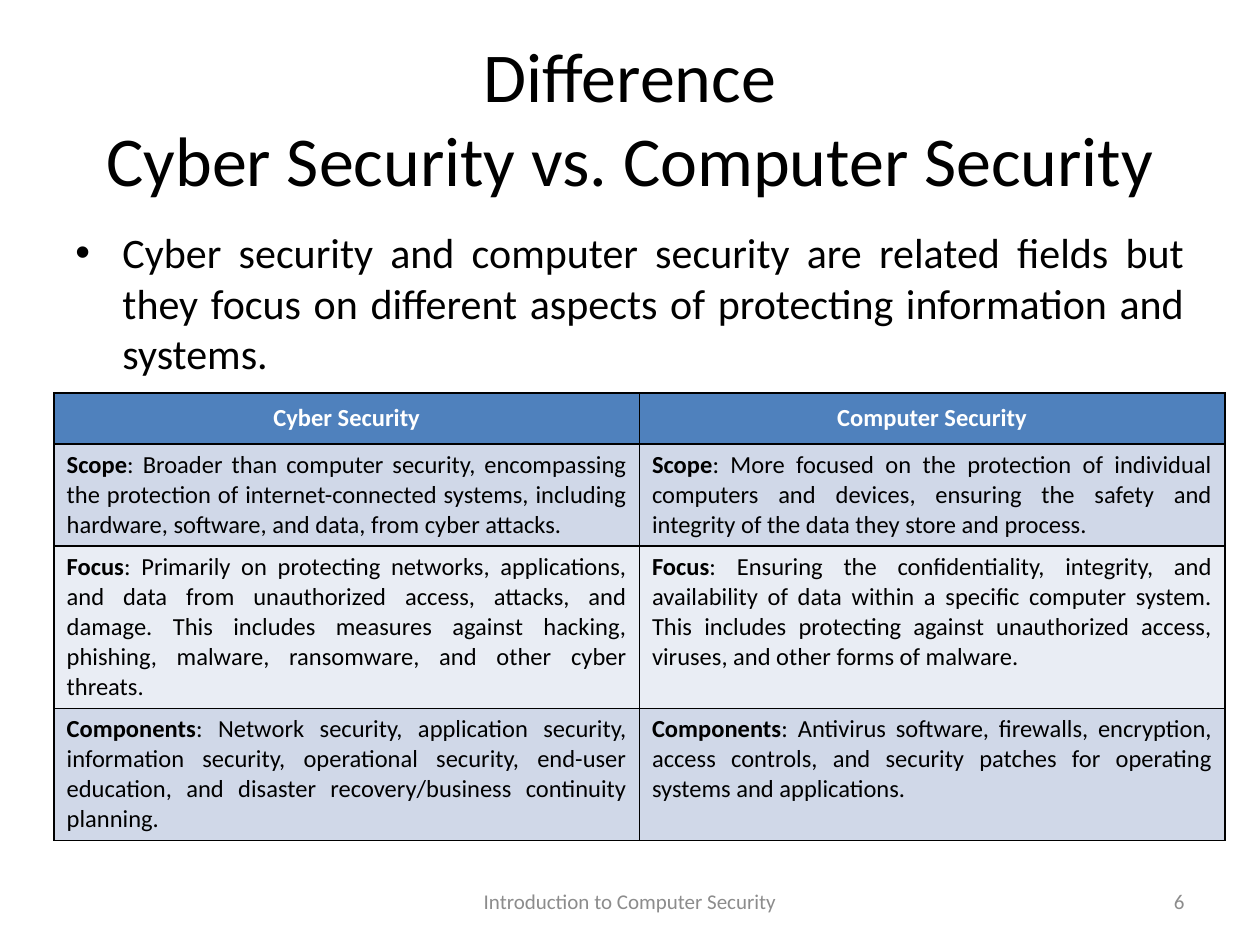
from lxml import etree
from pptx import Presentation
from pptx.dml.color import RGBColor
from pptx.enum import text as t
from pptx.oxml import ns
from pptx.util import Cm, Pt

TITLE = "Difference\vCyber Security vs. Computer Security"
INTRO = ("Cyber security and computer security are related fields but they focus on "
         "different aspects of protecting information and systems.")
FOOTER, PAGE_NUMBER = "Introduction to Computer Security", "6"
HEADINGS = ("Cyber Security", "Computer Security")
COMPARISON = [
    ("Scope",
     "Broader than computer security, encompassing the protection of internet-connected "
     "systems, including hardware, software, and data, from cyber attacks.",
     "More focused on the protection of individual computers and devices, ensuring the "
     "safety and integrity of the data they store and process."),
    ("Focus",
     "Primarily on protecting networks, applications, and data from unauthorized access, "
     "attacks, and damage. This includes measures against hacking, phishing, malware, "
     "ransomware, and other cyber threats.",
     "Ensuring the confidentiality, integrity, and availability of data within a specific "
     "computer system. This includes protecting against unauthorized access, viruses, and "
     "other forms of malware."),
    ("Components",
     "Network security, application security, information security, operational security, "
     "end-user education, and disaster recovery/business continuity planning.",
     "Antivirus software, firewalls, encryption, access controls, and security patches for "
     "operating systems and applications."),
]
ROW_HEIGHTS = (1.03, 2.06, 3.27, 2.66)
COLUMN_WIDTH = 11.8
BLACK, WHITE, GREY, HEADER_FILL = "000000", "FFFFFF", "8C8C8C", "4F81BD"
BAND_FILLS = ("D0D8E8", "E9EDF4")
ALIGN, ANCHOR = t.PP_ALIGN, t.MSO_ANCHOR


def rgb(value):
    return RGBColor.from_string(value)


def style(paragraph, size, color, align, bold=None):
    paragraph.alignment = align
    font = paragraph.font
    font.name, font.size, font.bold = "Calibri", Pt(size), bold
    font.color.rgb = rgb(color)


def add_text(slide, box, content, size, color, align, anchor):
    frame = slide.shapes.add_textbox(*map(Cm, box)).text_frame
    frame.word_wrap = True
    frame.vertical_anchor = anchor
    frame.text = content
    paragraph = frame.paragraphs[0]
    style(paragraph, size, color, align)
    return paragraph


def add_bullet(paragraph, indent):
    properties = paragraph._p.get_or_add_pPr()
    properties.set("marL", str(indent))
    properties.set("indent", str(-indent))
    bullet_font = etree.Element(ns.qn("a:buFont"), typeface="Arial")
    bullet = etree.Element(ns.qn("a:buChar"), char="•")
    properties.insert(0, bullet_font)
    properties.insert(1, bullet)


def format_cell(cell, fill):
    """Draw black borders on all four sides, then fill the cell."""
    properties = cell._tc.get_or_add_tcPr()
    for side in ("lnL", "lnR", "lnT", "lnB"):
        line = etree.SubElement(properties, ns.qn(f"a:{side}"), w=str(Pt(1)))
        solid = etree.SubElement(line, ns.qn("a:solidFill"))
        etree.SubElement(solid, ns.qn("a:srgbClr"), val=BLACK)
    cell.fill.solid()
    cell.fill.fore_color.rgb = rgb(fill)


def add_comparison(slide):
    table = slide.shapes.add_table(
        len(ROW_HEIGHTS), len(HEADINGS), Cm(1.09), Cm(7.92),
        Cm(COLUMN_WIDTH * len(HEADINGS)), Cm(sum(ROW_HEIGHTS))).table
    for row, height in zip(table.rows, ROW_HEIGHTS):
        row.height = Cm(height)
    for column, heading in enumerate(HEADINGS):
        table.columns[column].width = Cm(COLUMN_WIDTH)
        cell = table.cell(0, column)
        cell.text = heading
        cell.vertical_anchor = ANCHOR.MIDDLE
        style(cell.text_frame.paragraphs[0], 14, WHITE, ALIGN.CENTER, True)
        format_cell(cell, HEADER_FILL)
    for index, (aspect, *descriptions) in enumerate(COMPARISON):
        for column, description in enumerate(descriptions):
            cell = table.cell(index + 1, column)
            paragraph = cell.text_frame.paragraphs[0]
            for content, bold in ((aspect, True), (f": {description}", False)):
                run = paragraph.add_run()
                run.text = content
                run.font.bold = bold
            style(paragraph, 14, BLACK, ALIGN.JUSTIFY)
            format_cell(cell, BAND_FILLS[index % 2])


def main():
    deck = Presentation()
    deck.slide_width, deck.slide_height = Cm(25.4), Cm(19.05)
    slide = deck.slides.add_slide(deck.slide_layouts[5])

    title = slide.shapes.title
    title.left, title.top, title.width, title.height = map(Cm, (1.27, 0.76, 22.86, 3.18))
    title.text_frame.text = TITLE
    title.text_frame.vertical_anchor = ANCHOR.MIDDLE
    style(title.text_frame.paragraphs[0], 40, BLACK, ALIGN.CENTER)

    intro = add_text(slide, (1.27, 4.45, 22.86, 12.57), INTRO, 24, BLACK,
                     ALIGN.JUSTIFY, ANCHOR.TOP)
    add_bullet(intro, Cm(0.95))
    add_text(slide, (8.68, 17.66, 8.04, 1.01), FOOTER, 12, GREY, ALIGN.CENTER, ANCHOR.MIDDLE)
    add_text(slide, (18.2, 17.66, 5.93, 1.01), PAGE_NUMBER, 12, GREY, ALIGN.RIGHT, ANCHOR.MIDDLE)
    add_comparison(slide)
    deck.save("out.pptx")


if __name__ == "__main__":
    main()
